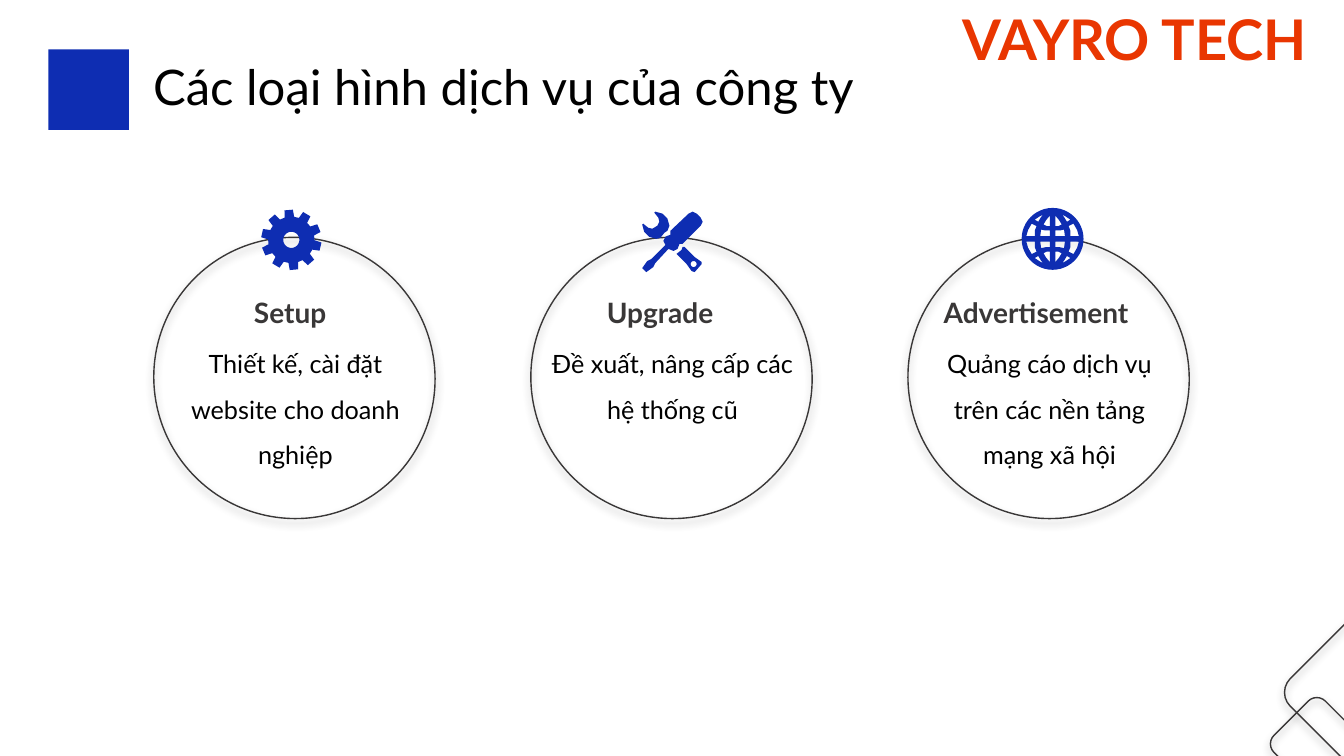
from math import cos, radians, sin

from lxml.etree import SubElement
from pptx import Presentation
from pptx.dml.color import RGBColor
from pptx.enum.shapes import MSO_SHAPE
from pptx.enum.text import MSO_AUTO_SIZE, PP_ALIGN
from pptx.oxml.ns import qn
from pptx.util import Inches, Pt

COLORS = {
    "deep": "0E2DB2",
    "gray": "393737",
    "black": "000000",
    "brand": "E93601",
}
FONT = "Lato"
SERVICES = [
    ("Setup", 0.9, 1.01, "Thiết kế, cài đặt website cho doanh nghiệp", 1.4),
    ("Upgrade", 0.66, 1.46, "Đề xuất, nâng cấp các hệ thống cũ", 0.95),
    ("Advertisement", 0.26, 2.28, "Quảng cáo dịch vụ trên các nền tảng mạng xã hội", 1.4),
]
CIRCLE_LEFT, CIRCLE_TOP, CIRCLE_STEP = 1.52, 2.36, 3.74
CIRCLE_WIDTH, CIRCLE_HEIGHT = 2.8, 2.78

GLOBE_CELLS = [
    [(0.02, 0.02), (0.13, 0.02), (0.12, 0.1), (0.07, 0.09), (0.02, 0.09)],
    [(0.17, 0.02), (0.27, 0.02), (0.25, 0.09), (0.21, 0.16), (0.15, 0.13), (0.17, 0.08)],
    [(0.02, 0.12), (0.06, 0.12), (0.1, 0.14), (0.07, 0.19), (0.02, 0.25)],
    [(0.14, 0.16), (0.19, 0.19), (0.13, 0.23), (0.07, 0.26), (0.11, 0.21)],
]
SCREWDRIVER = [
    (0.58, 0.06), (0.54, 0.02), (0.5, 0), (0.46, 0.02), (0.28, 0.19), (0.28, 0.23),
    (0.25, 0.24), (0.23, 0.25), (0.21, 0.29), (0.23, 0.33), (0.09, 0.47), (0.05, 0.49),
    (0, 0.56), (0.04, 0.6), (0.11, 0.55), (0.13, 0.51), (0.26, 0.37), (0.31, 0.39),
    (0.35, 0.37), (0.37, 0.32), (0.4, 0.32), (0.58, 0.14), (0.6, 0.1),
]
WRENCH_HEAD = [
    (0.22, 0.21), (0.25, 0.19), (0.27, 0.14), (0.25, 0.07), (0.2, 0.02), (0.13, 0),
    (0.12, 0.01), (0.16, 0.06), (0.17, 0.1), (0.15, 0.14), (0.1, 0.17), (0.06, 0.16),
    (0.01, 0.12), (0, 0.13), (0.02, 0.2), (0.07, 0.25), (0.14, 0.27), (0.18, 0.26),
]
WRENCH_HANDLE = [
    (0.4, 0.35), (0.39, 0.38), (0.34, 0.42), (0.44, 0.52), (0.49, 0.59), (0.52, 0.6),
    (0.59, 0.52), (0.59, 0.5), (0.52, 0.45), (0.42, 0.35),
]


def color(name):
    return RGBColor.from_string(COLORS[name])


def add_text(slide, text, box, size, ink, bold=False, wrap=True, align=PP_ALIGN.LEFT, spacing=1.0):
    shape = slide.shapes.add_textbox(*map(Inches, box))
    frame = shape.text_frame
    frame.word_wrap = wrap
    frame.auto_size = MSO_AUTO_SIZE.SHAPE_TO_FIT_TEXT
    paragraph = frame.paragraphs[0]
    paragraph.alignment = align
    paragraph.line_spacing = spacing
    run = paragraph.add_run()
    run.text = text
    run.font.name = FONT
    run.font.size = Pt(size)
    run.font.bold = bold
    run.font.color.rgb = color(ink)


def paint(shape, fill=None, line=None):
    shape.shadow.inherit = False
    if fill:
        shape.fill.solid()
        shape.fill.fore_color.rgb = color(fill)
    else:
        shape.fill.background()
    if line:
        shape.line.color.rgb = color(line)
        shape.line.width = Pt(1)
    else:
        shape.line.fill.background()


def add_outline(slide, kind, box):
    shape = slide.shapes.add_shape(kind, *map(Inches, box))
    shape.rotation = 45
    paint(shape, line="gray")
    effects = shape._element.spPr.find(qn("a:effectLst"))
    shadow = SubElement(effects, qn("a:outerShdw"), blurRad=str(Pt(6)), dist=str(Pt(3)),
                        dir="5400000", algn="t", rotWithShape="0")
    tint = SubElement(shadow, qn("a:srgbClr"), val=COLORS["black"])
    SubElement(tint, qn("a:alpha"), val="39000")


def ring(radius, count=48):
    angles = [radians(360 * index / count) for index in range(count)]
    return [(radius * cos(angle), radius * sin(angle)) for angle in angles]


def add_icon(slide, left, top, contours, line=None):
    outlines = [[(Inches(left + x), Inches(top + y)) for x, y in contour] for contour in contours]
    builder = slide.shapes.build_freeform(*outlines[0][0])
    for index, outline in enumerate(outlines):
        if index:
            builder.move_to(*outline[0])
        builder.add_line_segments(outline[1:], close=True)
    paint(builder.convert_to_shape(), fill="deep", line=line)


def add_gear(slide, left, top):
    teeth = []
    for tooth in range(10):
        for offset, radius in ((-12, 0.23), (-8, 0.3), (8, 0.3), (12, 0.23)):
            angle = radians(13 + 36 * tooth + offset)
            teeth.append((radius * cos(angle), radius * sin(angle)))
    add_icon(slide, left + 1.37, top + 0.02, [teeth, ring(0.08)])


def add_tools(slide, left, top):
    hole = [(0.51 + x, 0.52 + y) for x, y in ring(0.03, 16)]
    add_icon(slide, left + 1.11, top - 0.26, [SCREWDRIVER, WRENCH_HEAD, WRENCH_HANDLE, hole])


def add_globe(slide, left, top):
    cells = [[(x * side, y * half) for x, y in cell]
             for cell in GLOBE_CELLS for side in (-1, 1) for half in (-1, 1)]
    add_icon(slide, left + 1.44, top + 0.01, [ring(0.3)] + cells, line="deep")


def add_corner(slide, left, top):
    for x, y, size in ((0, 0.73, 0.72), (0.2, 0, 1.16)):
        add_outline(slide, MSO_SHAPE.ROUNDED_RECTANGLE, (left + x, top + y, size, size))


def add_header(slide, left, top):
    marker = slide.shapes.add_shape(MSO_SHAPE.RECTANGLE, *map(Inches, (left, top, 0.8, 0.8)))
    paint(marker, fill="deep")
    add_text(slide, "VAYRO TECH", (left + 8.97, 0, 3.89, 0.77), 40, "brand", bold=True)
    add_text(slide, "Các loại hình dịch vụ của công ty", (left + 0.94, top + 0.02, 9.62, 0.69), 35, "black")


def add_service(slide, left, top, service):
    name, indent, name_width, detail, detail_height = service
    add_text(slide, name, (left + indent, top + 0.52, name_width, 0.44), 20, "gray", bold=True, wrap=False)
    add_text(slide, detail, (left + 0.11, top + 0.9, 2.6, detail_height), 18, "black",
             align=PP_ALIGN.CENTER, spacing=1.5)
    add_outline(slide, MSO_SHAPE.OVAL, (left, top, CIRCLE_WIDTH, CIRCLE_HEIGHT))


def main():
    presentation = Presentation()
    presentation.slide_width = Inches(13.33)
    presentation.slide_height = Inches(7.5)
    slide = presentation.slides.add_slide(presentation.slide_layouts[6])
    add_corner(slide, 12.7, 6.29)
    add_header(slide, 0.48, 0.49)
    for index, (service, add_symbol) in enumerate(zip(SERVICES, (add_gear, add_tools, add_globe))):
        left = CIRCLE_LEFT + index * CIRCLE_STEP
        add_service(slide, left, CIRCLE_TOP, service)
        add_symbol(slide, left, CIRCLE_TOP)
    presentation.save("out.pptx")


if __name__ == "__main__":
    main()
